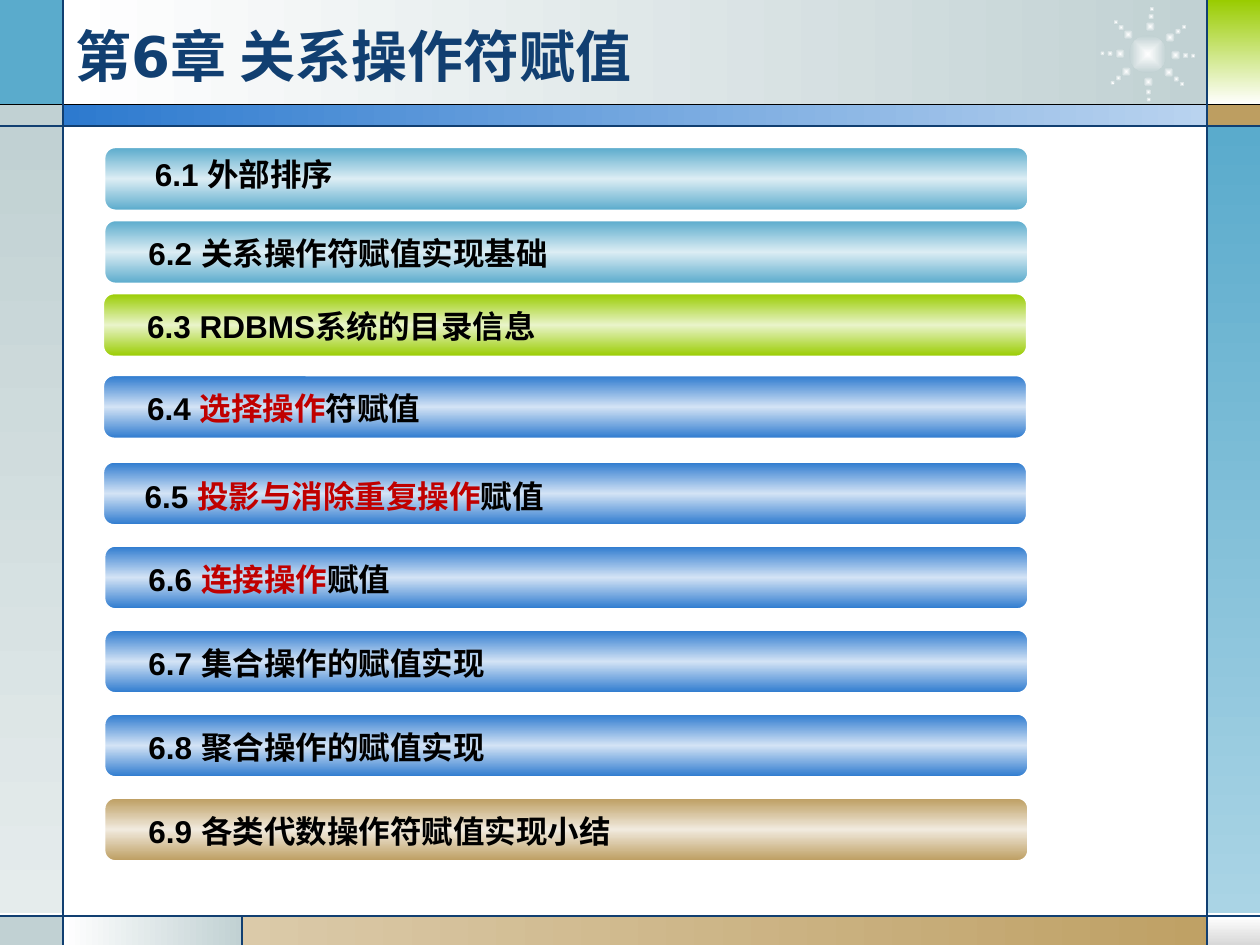
import math
from dataclasses import dataclass

import pptx
import pptx.dml.color
import pptx.enum.shapes
import pptx.enum.text
import pptx.oxml
import pptx.oxml.ns
import pptx.util

SHAPES = pptx.enum.shapes.MSO_SHAPE
INCHES = pptx.util.Inches
WIDTH, HEIGHT = 10, 7.5

# Edges of the frame grid, in inches
COLUMNS = (0, 0.5, 1.92, 9.58, WIDTH)
ROWS = (0, 0.83, 1, 7.25, 7.27, HEIGHT)


@dataclass(frozen=True)
class Theme:
    navy: str = "113F71"
    blue: str = "2D7ACF"
    sky: str = "5AABCC"
    green: str = "99CC00"
    tan: str = "BD9E61"
    mist: str = "C1D1D3"
    white: str = "FFFFFF"
    black: str = "000000"
    red: str = "C00000"
    title_font: str = "DejaVu Sans"
    body_font: str = "Arial"
    title_size: int = 32
    body_size: int = 18


THEME = Theme()
HIGHLIGHTS = {THEME.sky: "DCEDF4", THEME.green: "E9F4C9",
              THEME.blue: "D3E3F5", THEME.tan: "F1EADE"}

# First column, first row, last column, last row, colours, gradient angle
PANELS = (
    (1, 0, 3, 1, (THEME.white, THEME.mist), 0),
    (0, 0, 1, 1, (THEME.sky,), 0),
    (0, 1, 1, 2, (THEME.mist,), 0),
    (0, 2, 1, 3, (THEME.mist, "E5ECEC"), 90),
    (0, 4, 1, 5, (THEME.mist,), 0),
    (1, 4, 2, 5, (THEME.white, THEME.mist), 0),
    (2, 4, 4, 5, ("DBCAA9", THEME.tan), 0),
    (3, 4, 4, 5, (THEME.white, "D8D8D8"), 90),
    (3, 2, 4, 3, (THEME.sky, "AAD4E5"), 90),
    (3, 1, 4, 2, (THEME.tan,), 0),
    (3, 0, 4, 1, (THEME.green, THEME.white), 90),
    (1, 1, 3, 2, (THEME.blue, "B9D3EF"), 0),
)
RULES = (
    (0, 1, 4, 1, THEME.black),
    (0, 2, 4, 2, THEME.navy),
    (0, 4, 4, 4, THEME.navy),
    (1, 0, 1, 5, THEME.navy),
    (3, 0, 3, 5, THEME.navy),
    (2, 4, 2, 5, THEME.navy),
)

STAR_CENTRE = (9.11, 0.43)
RAY_ANGLES = (41, 2, -37, 89, -85, -135, 181, 141)
RAY_DOTS = ((0.36, 0.04), (0.3, 0.05), (0.22, 0.08))  # radius, diameter

SECTION_TOPS = ([1.17 + 0.58 * row for row in range(3)] + [2.98]
                + [3 + row * 2 / 3 for row in range(1, 6)])
# Colour, bar left, label offset from the bar, (wording, colour) runs
SECTIONS = (
    (THEME.sky, 0.83, (0.3, 0.01), (("6.1 外部排序", THEME.black),)),
    (THEME.sky, 0.83, (0.25, 0.06), (("6.2 关系操作符赋值实现基础", THEME.black),)),
    (THEME.green, 0.82, (0.25, 0.06), (("6.3 RDBMS系统的目录信息", THEME.black),)),
    (THEME.blue, 0.82, (0.25, 0.06),
     (("6.4 ", THEME.black), ("选择操作", THEME.red), ("符赋值", THEME.black))),
    (THEME.blue, 0.82, (0.23, 0.07),
     (("6.5 ", THEME.black), ("投影与消除重复操作", THEME.red), ("赋值", THEME.black))),
    (THEME.blue, 0.83, (0.25, 0.06),
     (("6.6 ", THEME.black), ("连接操作", THEME.red), ("赋值", THEME.black))),
    (THEME.blue, 0.83, (0.25, 0.06), (("6.7 集合操作的赋值实现", THEME.black),)),
    (THEME.blue, 0.83, (0.25, 0.06), (("6.8 聚合操作的赋值实现", THEME.black),)),
    (THEME.tan, 0.83, (0.25, 0.06), (("6.9 各类代数操作符赋值实现小结", THEME.black),)),
)


def rgb(colour):
    return pptx.dml.color.RGBColor.from_string(colour)


def paint(shape, colours, angle=0, radial=False):
    """Fill with one colour, or with evenly spaced gradient stops."""
    shape.fill.solid()
    shape.fill.fore_color.rgb = rgb(colours[0])
    if len(colours) == 1:
        return
    stops = "".join(
        f'<a:gs pos="{100000 * i // (len(colours) - 1)}"><a:srgbClr val="{colour}"/></a:gs>'
        for i, colour in enumerate(colours))
    direction = f'<a:lin ang="{angle * 60000}" scaled="0"/>'
    if radial:
        direction = ('<a:path path="rect"><a:fillToRect l="50000" t="50000" '
                     'r="50000" b="50000"/></a:path>')
    gradient = pptx.oxml.parse_xml(
        f'<a:gradFill {pptx.oxml.ns.nsdecls("a")} rotWithShape="1">'
        f'<a:gsLst>{stops}</a:gsLst>{direction}</a:gradFill>')
    properties = shape._element.spPr
    properties.replace(properties.find(pptx.oxml.ns.qn("a:solidFill")), gradient)


def add_block(shapes, preset, left, top, width, height, colours, angle=0, radial=False):
    block = shapes.add_shape(preset, *map(INCHES, (left, top, width, height)))
    block.shadow.inherit = False
    block.line.fill.background()
    paint(block, colours, angle, radial)
    return block


def add_rule(shapes, start, end, colour):
    rule = shapes.add_connector(pptx.enum.shapes.MSO_CONNECTOR.STRAIGHT,
                                *map(INCHES, (*start, *end)))
    rule.line.color.rgb = rgb(colour)
    rule.line.width = pptx.util.Pt(0.75)
    rule._element.spPr.append(
        pptx.oxml.parse_xml(f'<a:effectLst {pptx.oxml.ns.nsdecls("a")}/>'))


def add_label(shapes, left, top, width, height, wording, font, size):
    """Bold line of text made of (wording, colour) runs."""
    label = shapes.add_textbox(*map(INCHES, (left, top, width, height)))
    frame = label.text_frame
    frame.word_wrap = True
    for text, colour in wording:
        run = frame.paragraphs[0].add_run()
        run.text = text
        run.font.name = font
        run.font.size = pptx.util.Pt(size)
        run.font.bold = True
        run.font.color.rgb = rgb(colour)
    return label


def add_frame(shapes):
    for first_col, first_row, last_col, last_row, colours, angle in PANELS:
        left, top = COLUMNS[first_col], ROWS[first_row]
        add_block(shapes, SHAPES.RECTANGLE, left, top, COLUMNS[last_col] - left,
                  ROWS[last_row] - top, colours, angle)
    add_star(shapes)
    for first_col, first_row, last_col, last_row, colour in RULES:
        add_rule(shapes, (COLUMNS[first_col], ROWS[first_row]),
                 (COLUMNS[last_col], ROWS[last_row]), colour)


def add_star(shapes):
    """Glowing core with rays of shrinking dots."""
    star = shapes.add_group_shape()
    dots = [(0, 0, 0.3)] + [(angle, radius, diameter) for angle in RAY_ANGLES
                            for radius, diameter in RAY_DOTS]
    for angle, radius, diameter in dots:
        x = STAR_CENTRE[0] + radius * math.cos(math.radians(angle))
        y = STAR_CENTRE[1] + radius * math.sin(math.radians(angle))
        add_block(star.shapes, SHAPES.OVAL, x - diameter / 2, y - diameter / 2,
                  diameter, diameter, (THEME.white, THEME.mist), radial=True)


def add_section(shapes, top, colour, left, offset, wording):
    bar = add_block(shapes, SHAPES.ROUNDED_RECTANGLE, left, top, 7.33, 0.5,
                    (colour, HIGHLIGHTS[colour], colour), 90)
    bar.adjustments[0] = 0.17
    bar.line.color.rgb = rgb(THEME.white)
    bar.line.width = pptx.util.Pt(1)
    add_label(shapes, left + offset[0], top + offset[1], 5.79, 0.4, wording,
              THEME.body_font, THEME.body_size)


def main():
    deck = pptx.Presentation()
    deck.slide_width, deck.slide_height = INCHES(WIDTH), INCHES(HEIGHT)
    shapes = deck.slides.add_slide(deck.slide_layouts[6]).shapes
    add_frame(shapes)
    title = add_label(shapes, COLUMNS[1], 0.13, COLUMNS[3] - COLUMNS[1], 0.62,
                      (("第6章 关系操作符赋值", THEME.navy),),
                      THEME.title_font, THEME.title_size)
    title.text_frame.vertical_anchor = pptx.enum.text.MSO_ANCHOR.MIDDLE
    for top, section in zip(SECTION_TOPS, SECTIONS):
        add_section(shapes, top, *section)
    deck.save("out.pptx")


if __name__ == "__main__":
    main()
